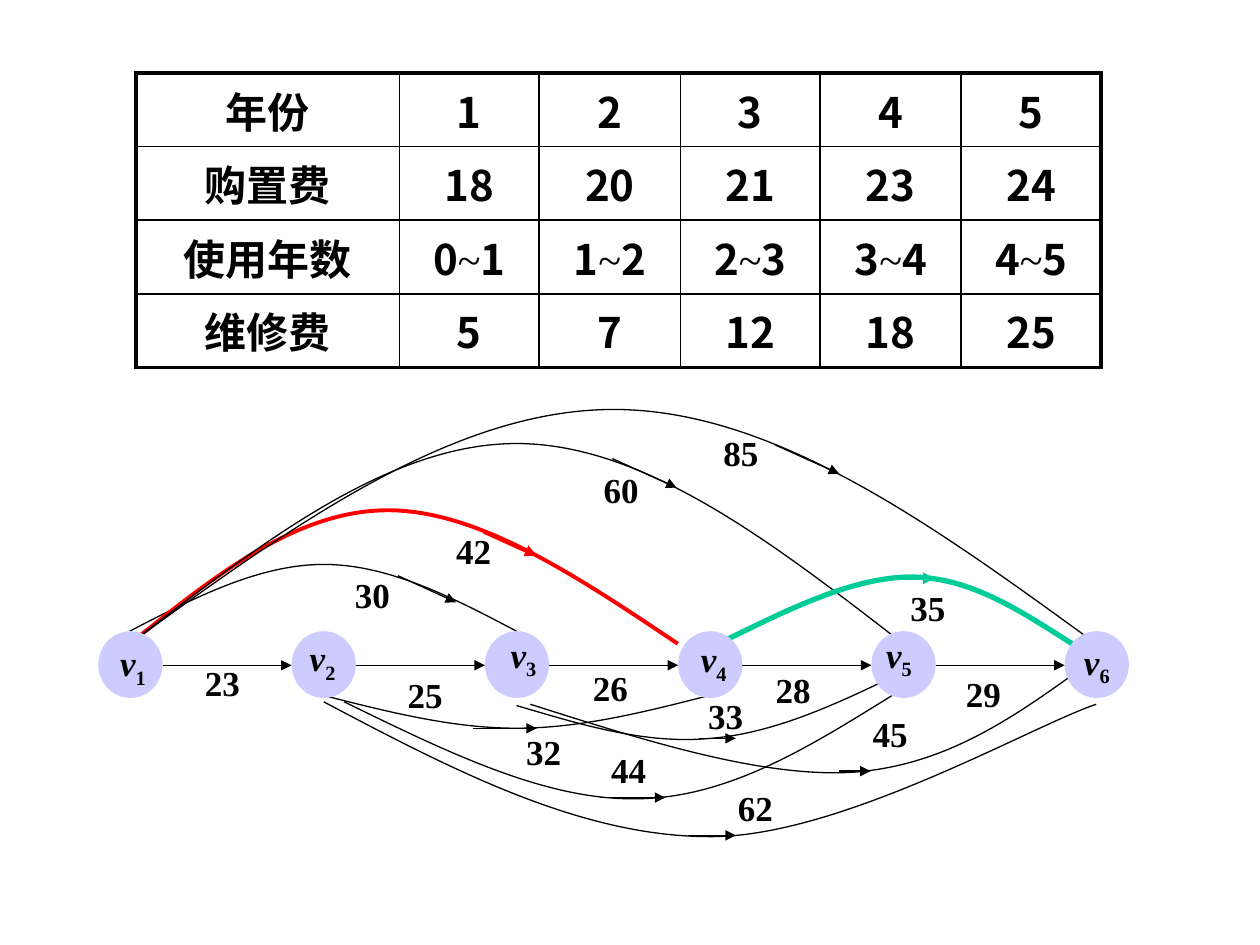
from dataclasses import dataclass
from typing import NamedTuple

from lxml.etree import SubElement
from pptx import Presentation
from pptx.dml.color import RGBColor
from pptx.enum.shapes import MSO_CONNECTOR, MSO_SHAPE
from pptx.enum.text import MSO_ANCHOR, PP_ALIGN
from pptx.oxml.ns import qn
from pptx.util import Inches, Pt

COLORS = {"ink": "000000", "node": "CCCCFF", "red": "FF0000", "green": "00CC99"}
LATIN = "Times New Roman"
CJK = "Noto Sans CJK SC"


class Label(NamedTuple):
    text: str
    left: float
    top: float
    width: float = 0.77
    height: float = 0.69


class Arrow(NamedTuple):
    start: tuple[float, float]
    end: tuple[float, float]
    color: str = "ink"
    weight: float = 0.75


@dataclass
class Arc:
    points: list[tuple[float, float]]
    color: str = "ink"
    weight: float = 0.75


COSTS = [
    ["年份", "1", "2", "3", "4", "5"],
    ["购置费", "18", "20", "21", "23", "24"],
    ["使用年数", "0~1", "1~2", "2~3", "3~4", "4~5"],
    ["维修费", "5", "7", "12", "18", "25"],
]
COLUMN_WIDTHS = [2.09, 1.11, 1.12, 1.11, 1.12, 1.11]

ARCS = [
    Arc([(1.03, 5.01), (1.55, 4.74), (2.06, 4.48), (2.57, 4.48), (3.08, 4.48), (3.59, 4.74), (4.1, 5.01)]),
    Arc([(2.57, 5.52), (3.08, 5.65), (3.59, 5.78), (4.1, 5.78), (4.61, 5.78), (5.12, 5.65), (5.63, 5.52)]),
    Arc([(2.73, 5.57), (3.53, 5.96), (4.32, 6.35), (5.04, 6.34), (5.77, 6.34), (6.42, 5.93), (7.08, 5.52)]),
    Arc([(2.57, 5.57), (3.59, 6.11), (4.61, 6.64), (5.63, 6.64), (6.66, 6.65), (8.19, 5.76), (8.7, 5.59)]),
    Arc([(1.03, 5.11), (1.69, 4.58), (2.35, 4.05), (3.08, 4.05), (3.8, 4.05), (4.59, 4.58), (5.38, 5.11)],
        "red", 2.25),
    Arc([(1.03, 5.11), (2.06, 4.32), (3.08, 3.52), (4.1, 3.52), (5.12, 3.52), (6.15, 4.32), (7.17, 5.11)]),
    Arc([(1.03, 5.11), (2.31, 4.18), (3.59, 3.25), (4.87, 3.25), (6.15, 3.25), (7.42, 4.18), (8.7, 5.11)]),
    Arc([(4.1, 5.6), (4.61, 5.75), (5.12, 5.91), (5.64, 5.86), (6.15, 5.82), (6.66, 5.58), (7.17, 5.33)]),
    Arc([(4.21, 5.59), (5.12, 5.88), (6.04, 6.17), (6.76, 6.13), (7.49, 6.08), (8.02, 5.71), (8.55, 5.33)]),
    Arc([(5.7, 5.11), (6.23, 4.85), (6.76, 4.58), (7.23, 4.58), (7.7, 4.58), (8.1, 4.85), (8.51, 5.11)],
        "green", 3),
]

NODE_LEFT, NODE_TOP, NODE_WIDTH, NODE_HEIGHT, NODE_STEP = 0.78, 5.01, 0.51, 0.53, 1.534
NODE_MIDDLE = 5.28

NODE_LABELS = [
    Label("1", 0.67, 4.88, height=0.8),
    Label("2", 2.05, 4.84, 1.02, 0.8),
    Label("3", 3.77, 4.68, height=1.07),
    Label("4", 5.28, 4.85, height=0.8),
    Label("5", 6.75, 4.68, height=1.07),
    Label("6", 8.32, 4.87, height=0.8),
]

ARC_ARROWS = [
    Arrow((3.75, 5.78), (4.26, 5.78)),
    Arrow((4.76, 6.33), (5.28, 6.33)),
    Arrow((5.46, 6.63), (5.84, 6.63), weight=0.25),
    Arrow((6.66, 6.12), (6.91, 6.12)),
    Arrow((5.55, 5.86), (5.84, 5.86)),
    Arrow((7.12, 4.59), (7.42, 4.59), "green", 2.25),
    Arrow((3.16, 4.57), (3.62, 4.78)),
    Arrow((3.84, 4.22), (4.26, 4.41), "red", 2.25),
    Arrow((4.86, 3.64), (5.37, 3.87)),
    Arrow((6.15, 3.53), (6.66, 3.76)),
]

WEIGHTS = [
    Label("28", 5.91, 5.13), Label("23", 1.38, 5.07), Label("25", 2.99, 5.17),
    Label("26", 4.46, 5.11), Label("29", 7.42, 5.16), Label("30", 2.57, 4.37),
    Label("42", 3.25, 4.02, 1.02), Label("60", 4.42, 3.54, 1.02),
    Label("85", 5.37, 3.25, 1.02), Label("32", 3.93, 5.62),
    Label("44", 4.48, 5.76, 1.02), Label("62", 5.61, 6.06),
    Label("33", 5.25, 5.33, 1.02), Label("45", 6.68, 5.48), Label("35", 6.98, 4.48),
]


def rgb(color: str) -> RGBColor:
    return RGBColor.from_string(COLORS[color])


def add_run(paragraph, text: str, **formats):
    run = paragraph.add_run()
    run.text = text
    for name, value in formats.items():
        setattr(run.font, name, value)
    run.font.color.rgb = rgb("ink")
    SubElement(run.font._element, qn("a:ea"), typeface=formats["name"])
    return run


def add_border(cell, side: str, weight: float) -> None:
    border = SubElement(cell._tc.get_or_add_tcPr(), qn(f"a:{side}"), w=str(Pt(weight)))
    fill = SubElement(border, qn("a:solidFill"))
    SubElement(fill, qn("a:srgbClr"), val=COLORS["ink"])


def add_cost_table(slide) -> None:
    last_row, last_column = len(COSTS) - 1, len(COLUMN_WIDTHS) - 1
    table = slide.shapes.add_table(
        len(COSTS), len(COLUMN_WIDTHS), Inches(1.08), Inches(0.58), Inches(7.67), Inches(2.01)
    ).table
    table.first_row = table.horz_banding = False
    for column, width in zip(table.columns, COLUMN_WIDTHS):
        column.width = Inches(width)
    for r, values in enumerate(COSTS):
        table.rows[r].height = Inches(0.5)
        for c, value in enumerate(values):
            cell = table.cell(r, c)
            cell.vertical_anchor = MSO_ANCHOR.MIDDLE
            outer = {"lnL": c == 0, "lnR": c == last_column, "lnT": r == 0, "lnB": r == last_row}
            for side, is_outer in outer.items():
                add_border(cell, side, 2.25 if is_outer else 1)
            cell.fill.background()
            paragraph = cell.text_frame.paragraphs[0]
            paragraph.alignment = PP_ALIGN.CENTER
            for part in value.replace("~", " ~ ").split():
                is_tilde = part == "~"
                add_run(paragraph, part, size=Pt(24), bold=not is_tilde, name=LATIN if is_tilde else CJK)


def add_arc(slide, arc: Arc) -> None:
    start, *rest = [(Inches(x), Inches(y)) for x, y in arc.points]
    builder = slide.shapes.build_freeform(*start)
    builder.add_line_segments(rest, close=False)
    curve = builder.convert_to_shape()
    curve.shadow.inherit = False
    curve.fill.background()
    curve.line.color.rgb = rgb(arc.color)
    curve.line.width = Pt(arc.weight)
    segments = list(curve._element.iter(qn("a:lnTo")))
    outline = segments[0].getparent()
    for i in range(0, len(segments), 3):
        bezier = SubElement(outline, qn("a:cubicBezTo"))
        for segment in segments[i:i + 3]:
            bezier.append(segment[0])
            outline.remove(segment)


def add_arrow(slide, arrow: Arrow) -> None:
    ends = [Inches(value) for value in (*arrow.start, *arrow.end)]
    connector = slide.shapes.add_connector(MSO_CONNECTOR.STRAIGHT, *ends)
    connector.line.color.rgb = rgb(arrow.color)
    connector.line.width = Pt(arrow.weight)
    SubElement(connector.line._get_or_add_ln(), qn("a:tailEnd"), type="triangle")
    SubElement(connector._element.spPr, qn("a:effectLst"))


def add_node(slide, left: float) -> None:
    node = slide.shapes.add_shape(
        MSO_SHAPE.OVAL, Inches(left), Inches(NODE_TOP), Inches(NODE_WIDTH), Inches(NODE_HEIGHT)
    )
    node.shadow.inherit = False
    node.fill.solid()
    node.fill.fore_color.rgb = rgb("node")
    node.line.fill.background()


def add_label(slide, label: Label, is_node: bool = False) -> None:
    frame = slide.shapes.add_textbox(*[Inches(value) for value in label[1:]]).text_frame
    frame.word_wrap = True
    frame.vertical_anchor = MSO_ANCHOR.MIDDLE
    paragraph = frame.paragraphs[0]
    paragraph.alignment = PP_ALIGN.CENTER
    formats = {"size": Pt(20), "bold": True, "name": LATIN}
    if is_node:
        add_run(paragraph, "v", italic=True, **formats)
    number = add_run(paragraph, label.text, **formats)
    if is_node:
        number.font._element.set("baseline", "-25000")


def main() -> None:
    presentation = Presentation()
    presentation.slide_width, presentation.slide_height = Inches(10), Inches(7.5)
    slide = presentation.slides.add_slide(presentation.slide_layouts[6])
    add_cost_table(slide)
    for arc in ARCS:
        add_arc(slide, arc)
    node_lefts = [NODE_LEFT + i * NODE_STEP for i in range(len(NODE_LABELS))]
    for left in node_lefts:
        add_node(slide, left)
    for left, following in zip(node_lefts, node_lefts[1:]):
        add_arrow(slide, Arrow((left + NODE_WIDTH, NODE_MIDDLE), (following, NODE_MIDDLE)))
    for label in NODE_LABELS:
        add_label(slide, label, is_node=True)
    for arrow in ARC_ARROWS:
        add_arrow(slide, arrow)
    for label in WEIGHTS:
        add_label(slide, label)
    presentation.save("out.pptx")


if __name__ == "__main__":
    main()
